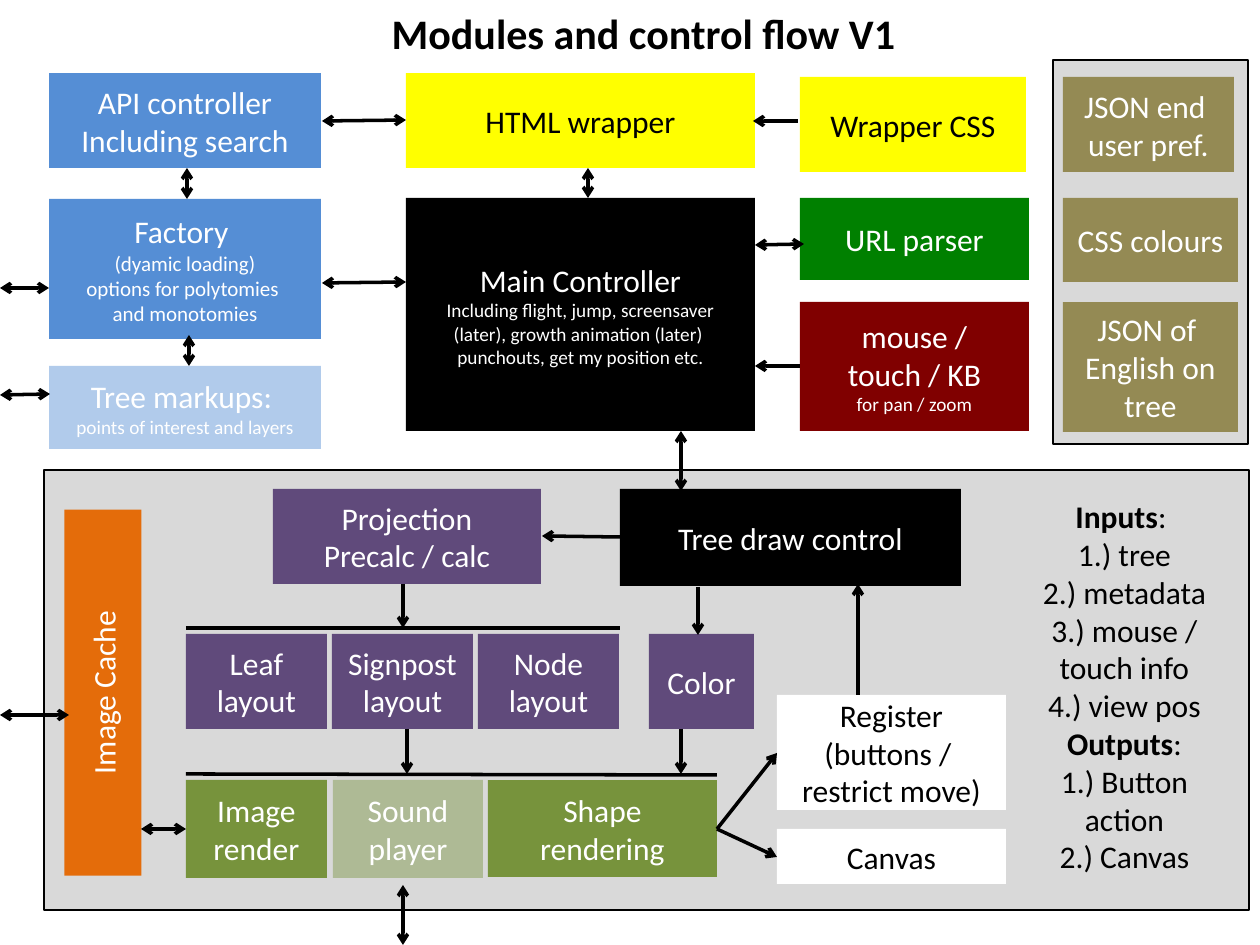
from pptx import Presentation, util as u
from pptx.dml.color import RGBColor
from pptx.enum import shapes, text
from pptx.oxml.ns import qn
from lxml import etree

SCALE = u.Inches(1) // 126
BLACK, WHITE, GREY = "000000", "FFFFFF", "D9D9D9"
BLUE, YELLOW, KHAKI = "558ED5", "FFFF00", "948A54"
PURPLE, GREEN, ORANGE = "604A7B", "77933C", "E46C0A"

PANELS = [(1053, 60, 195, 384), (44, 470, 1205, 440)]

# left, top, width, height, fill, opacity, ink, paragraphs of (words, size)
BOXES = [
    (49, 73, 272, 95, BLUE, 100, WHITE,
     [("API controller", 18), ("Including search", 18)]),
    (49, 199, 272, 140, BLUE, 100, WHITE,
     [("Factory ", 18), ("(dyamic loading)", 12),
      ("options for polytomies ", 12), ("and monotomies", 12)]),
    (49, 366, 272, 83, BLUE, 46, WHITE,
     [("Tree markups: ", 18), ("points of interest and layers", 11)]),
    (406, 73, 349, 95, YELLOW, 100, BLACK, [("HTML wrapper", 18)]),
    (406, 198, 349, 233, BLACK, 100, WHITE,
     [("Main Controller", 18),
      ("Including flight, jump, screensaver (later), "
       "growth animation (later) ", 11),
      ("punchouts, get my position etc.", 11)]),
    (800, 77, 226, 95, YELLOW, 100, BLACK, [("Wrapper CSS", 18)]),
    (800, 198, 229, 82, "008000", 100, WHITE, [("URL parser", 18)]),
    (800, 302, 229, 129, "800000", 100, WHITE,
     [("mouse / touch / KB", 18), ("for pan / zoom", 11)]),
    (1063, 77, 171, 95, KHAKI, 100, WHITE,
     [("JSON end ", 18), ("user pref.", 18)]),
    (1063, 198, 175, 84, KHAKI, 100, WHITE, [("CSS colours", 18)]),
    (1063, 302, 175, 130, KHAKI, 100, WHITE,
     [("JSON of ", 18), ("English on tree", 18)]),
    (273, 489, 268, 95, PURPLE, 100, WHITE,
     [("Projection", 18), ("Precalc / calc", 18)]),
    (620, 489, 341, 97, BLACK, 100, WHITE, [("Tree draw control", 18)]),
    (649, 634, 105, 95, PURPLE, 100, WHITE, [("Color", 18)]),
    (186, 780, 141, 98, GREEN, 100, WHITE, [("Image render", 18)]),
    (333, 780, 150, 98, GREEN, 43, WHITE, [("Sound player", 18)]),
    (488, 780, 229, 97, GREEN, 100, WHITE, [("Shape rendering", 18)]),
    (777, 695, 229, 115, WHITE, 100, BLACK,
     [("Register", 18), ("(buttons / ", 18), ("restrict move)", 18)]),
    (777, 829, 229, 55, WHITE, 100, BLACK, [("Canvas", 18)]),
]
LAYOUTS = ["Leaf layout", "Signpost layout", "Node layout"]
CACHE = (-80, 654, 366, 77, ORANGE, 100, WHITE, [("Image Cache", 18)])

# start x, start y, end x, end y
BARS = [(186, 774, 717, 775), (186, 628, 620, 628)]
ONE_WAY = [
    (800, 366, 755, 366), (798, 121, 753, 121), (620, 537, 542, 536),
    (403, 584, 403, 628), (698, 587, 698, 635), (407, 729, 407, 774),
    (681, 729, 681, 774), (717, 829, 777, 857), (717, 829, 777, 753),
    (858, 695, 858, 584),
]
TWO_WAY = [
    (141, 829, 186, 829), (403, 885, 403, 945), (69, 715, 0, 715),
    (681, 431, 681, 491), (588, 168, 588, 198), (406, 120, 322, 121),
    (406, 282, 322, 283), (49, 288, 0, 288), (804, 244, 755, 245),
    (189, 335, 189, 366), (187, 168, 187, 199), (50, 394, 0, 395),
]

# paragraphs of runs (words, size, bold)
TITLE = [[("Modules and control flow V1", 24, True)]]
NOTES = [
    [("Inputs", 18, True), (": ", 18, False)],
    [("1.) tree", 18, False)],
    [("2.) metadata", 18, False)],
    [("3.) mouse / touch info", 18, False)],
    [("4.) view pos", 18, False)],
    [("Outputs", 18, True), (":", 18, False)],
    [("1.) Button action", 18, False)],
    [("2.) Canvas", 18, False)],
]


def px(*vals):
    """Turn pixels into EMU."""
    return [u.Emu(v * SCALE) for v in vals]


def hue(code):
    """Turn a hex string into a colour."""
    return RGBColor.from_string(code)


def write(frame, paras, ink):
    """Fill a text frame with centred paragraphs, run by run."""
    frame.word_wrap = True
    for i, runs in enumerate(paras):
        para = frame.add_paragraph() if i else frame.paragraphs[0]
        para.alignment = text.PP_ALIGN.CENTER
        for words, size, bold in runs:
            run = para.add_run()
            run.text = words
            font = run.font
            font.name, font.size, font.bold = "Calibri", u.Pt(size), bold
            font.color.rgb = hue(ink)


def rect(area, fill):
    """Add a plain filled rectangle with no outline."""
    shape = slide.shapes.add_shape(shapes.MSO_SHAPE.RECTANGLE, *px(*area))
    shape.shadow.inherit = False
    shape.fill.solid()
    shape.fill.fore_color.rgb = hue(fill)
    shape.line.fill.background()
    return shape


def panel(area):
    """Add a grey outlined group panel."""
    shape = rect(area, GREY)
    shape.line.color.rgb = hue(BLACK)
    shape.line.width = u.Pt(0.75)


def box(x, y, w, h, fill, alpha, ink, paras):
    """Add a labelled module box."""
    shape = rect((x, y, w, h), fill)
    if alpha < 100:
        tint = shape.fill._xPr.find(".//" + qn("a:srgbClr"))
        etree.SubElement(tint, qn("a:alpha"), val=str(alpha * 1000))
    shape.text_frame.vertical_anchor = text.MSO_ANCHOR.MIDDLE
    write(shape.text_frame, [[(*para, False)] for para in paras], ink)
    return shape


def link(ends, *tips):
    """Add a black line with arrowheads at the named tips."""
    line = slide.shapes.add_connector(
        shapes.MSO_CONNECTOR.STRAIGHT, *px(*ends))
    line.line.color.rgb = hue(BLACK)
    line.line.width = u.Pt(2)
    for tip in tips:
        etree.SubElement(line.line._get_or_add_ln(), qn(tip), type="arrow")
    etree.SubElement(line._element.spPr, qn("a:effectLst"))


def label(area, paras):
    """Add a free text box."""
    write(slide.shapes.add_textbox(*px(*area)).text_frame, paras, BLACK)


deck = Presentation()
deck.slide_width, deck.slide_height = px(1260, 945)
slide = deck.slides.add_slide(deck.slide_layouts[6])

for area in PANELS:
    panel(area)
for item in BOXES:
    box(*item)
for i, name in enumerate(LAYOUTS):
    box(186 + 146 * i, 634, 141, 95, PURPLE, 100, WHITE, [(name, 18)])
box(*CACHE).rotation = 270
for ends in BARS:
    link(ends)
for ends in ONE_WAY:
    link(ends, "a:tailEnd")
for ends in TWO_WAY:
    link(ends, "a:headEnd", "a:tailEnd")
label((1026, 491, 197, 394), NOTES)
label((49, 1, 1189, 63), TITLE)

deck.save("out.pptx")
